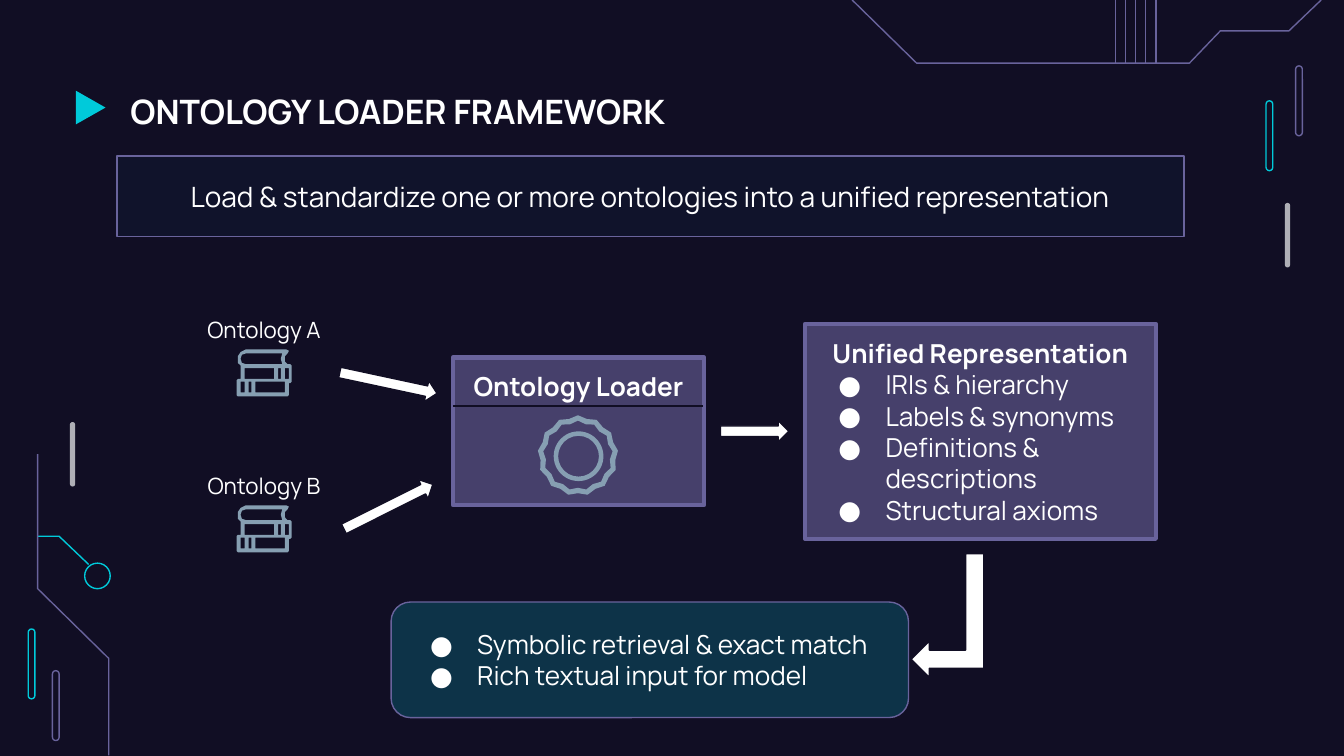
import math
from dataclasses import dataclass
from typing import NamedTuple, Optional

import lxml.etree
import pptx
import pptx.dml.color
import pptx.enum.shapes
import pptx.enum.text
import pptx.oxml.ns
import pptx.util
from pptx.util import Inches

SHAPE = pptx.enum.shapes.MSO_SHAPE
ALIGN = pptx.enum.text.PP_ALIGN
ANCHOR = pptx.enum.text.MSO_ANCHOR
qn = pptx.oxml.ns.qn


@dataclass(frozen=True)
class Theme:
    font: str = "Manrope"
    background: str = "110E24"
    text: str = "FFFFFF"
    cyan: str = "00CADA"
    violet: str = "69639C"
    panel: str = "46406B"
    navy: str = "0E2A47"
    gray: str = "AFAFB6"
    icon: str = "869FB2"
    title_size: float = 18
    banner_size: float = 15
    body_size: float = 14
    label_size: float = 12
    thin: float = 0.75
    thick: float = 2.25


class Box(NamedTuple):
    left: float
    top: float
    width: float
    height: float


class Capsule(NamedTuple):
    box: Box
    fill: Optional[str] = None
    line: Optional[str] = None


class Circuit(NamedTuple):
    points: list
    color: str


class Source(NamedTuple):
    name: str
    top: float


class Arrow(NamedTuple):
    kind: int
    box: Box
    rotation: float = 0
    mirrored: bool = False


THEME = Theme()

CAPSULES = [
    Capsule(Box(9.42, 0.75, 0.05, 0.52), line=THEME.cyan),
    Capsule(Box(9.64, 0.49, 0.05, 0.52), line=THEME.violet),
    Capsule(Box(0.21, 4.68, 0.05, 0.52), line=THEME.cyan),
    Capsule(Box(0.39, 4.99, 0.05, 0.52), line=THEME.violet),
    Capsule(Box(9.56, 1.51, 0.04, 0.48), fill=THEME.gray),
    Capsule(Box(0.52, 3.14, 0.04, 0.48), fill=THEME.gray),
]
CIRCUITS = [
    Circuit([(6.34, 0), (6.82, 0.47), (8.85, 0.47), (9.08, 0.23), (9.59, 0.23), (9.83, 0)], THEME.violet),
    Circuit([(0.66, 4.2), (0.44, 3.99), (0.28, 3.99)], THEME.cyan),
    Circuit([(0.28, 3.38), (0.28, 4.38), (0.81, 4.9), (0.81, 5.62)], THEME.violet),
]
SOURCES = [Source("Ontology A", 2.3), Source("Ontology B", 3.46)]
ARROWS = [
    Arrow(SHAPE.RIGHT_ARROW, Box(5.36, 3.13, 0.51, 0.16)),
    Arrow(SHAPE.RIGHT_ARROW, Box(2.52, 2.77, 0.74, 0.16), 12.1),
    Arrow(SHAPE.RIGHT_ARROW, Box(2.52, 3.69, 0.74, 0.16), 333.4),
    Arrow(SHAPE.BENT_UP_ARROW, Box(6.59, 4.31, 0.92, 0.54), 270, True),
]
BOOK_COVERS = [
    (0.07, 0), (0.37, 0), (0.39, 0.01), (0.38, 0.03), (0.36, 0.05), (0.36, 0.09), (0.38, 0.11),
    (0.40, 0.11), (0.41, 0.12), (0.41, 0.24), (0.40, 0.25), (0.39, 0.25), (0.39, 0.34), (0.38, 0.35),
    (0.01, 0.35), (0, 0.34), (0, 0.23), (0.01, 0.22), (0.03, 0.22), (0.03, 0.12), (0.01, 0.10),
    (0.01, 0.05), (0.03, 0.02),
]
BOOK_PAGES = [
    (0.34, 0.03), (0.07, 0.03), (0.04, 0.04), (0.03, 0.07), (0.04, 0.10), (0.07, 0.11), (0.34, 0.11), (0.33, 0.07),
]
BOOK_WINDOWS = [
    Box(left, top, width, 0.08)
    for top, columns in [
        (0.14, [(0.06, 0.22), (0.31, 0.02), (0.36, 0.03)]),
        (0.24, [(0.03, 0.03), (0.09, 0.02), (0.14, 0.22)]),
    ]
    for left, width in columns
]


def rgb(color: str):
    return pptx.dml.color.RGBColor.from_string(color)


def paint(shape, fill: Optional[str] = None, line: Optional[str] = None,
          weight: float = THEME.thin, opacity: int = 100) -> None:
    shape.shadow.inherit = False
    if fill:
        shape.fill.solid()
        shape.fill.fore_color.rgb = rgb(fill)
        if opacity < 100:
            color = shape.element.spPr.find(qn("a:solidFill")).find(qn("a:srgbClr"))
            lxml.etree.SubElement(color, qn("a:alpha")).set("val", str(opacity * 1000))
    else:
        shape.fill.background()
    if line:
        shape.line.color.rgb = rgb(line)
        shape.line.width = pptx.util.Pt(weight)
    else:
        shape.line.fill.background()


def add_preset(slide, kind: int, box: Box, **look):
    shape = slide.shapes.add_shape(kind, *map(Inches, box))
    paint(shape, **look)
    return shape


def add_outline(slide, contours: list, closed: bool = True, **look) -> None:
    """Draw contours given in inches as one freeform; inner contours become holes."""
    scaled = [[(Inches(x), Inches(y)) for x, y in contour] for contour in contours]
    builder = slide.shapes.build_freeform(*scaled[0][0], scale=1.0)
    for index, contour in enumerate(scaled):
        if index:
            builder.move_to(*contour[0])
        builder.add_line_segments(contour[1:], close=closed)
    paint(builder.convert_to_shape(), **look)


def add_line(slide, start: tuple, end: tuple, color: str) -> None:
    line = slide.shapes.add_connector(
        pptx.enum.shapes.MSO_CONNECTOR.STRAIGHT, *map(Inches, start + end))
    line.line.color.rgb = rgb(color)
    line.line.width = pptx.util.Pt(THEME.thin)
    lxml.etree.SubElement(line.element.spPr, qn("a:effectLst"))


def prepare_frame(shape, anchor):
    frame = shape.text_frame
    frame.word_wrap = True
    frame.auto_size = pptx.enum.text.MSO_AUTO_SIZE.NONE
    frame.vertical_anchor = anchor
    frame.margin_left = frame.margin_right = frame.margin_top = frame.margin_bottom = Inches(0.1)
    return frame


def write(frame, text: str, *, size: float = THEME.body_size, bold: bool = False,
          align=ALIGN.LEFT, bullet: bool = False):
    """Fill the frame's empty first paragraph, or append another one."""
    para = frame.paragraphs[0] if not frame.text else frame.add_paragraph()
    para.alignment = align
    if bullet:
        props = para._p.get_or_add_pPr()
        props.set("marL", str(Inches(0.5)))
        props.set("indent", str(Inches(-0.35)))
        color = lxml.etree.SubElement(props, qn("a:buClr"))
        lxml.etree.SubElement(color, qn("a:srgbClr")).set("val", THEME.text)
        lxml.etree.SubElement(props, qn("a:buFont")).set("typeface", THEME.font)
        lxml.etree.SubElement(props, qn("a:buChar")).set("char", "●")
    span = para.add_run()
    span.text = text
    span.font.name = THEME.font
    span.font.size = pptx.util.Pt(size)
    span.font.bold = bold
    span.font.color.rgb = rgb(THEME.text)
    return para


def add_books(slide, left: float, top: float) -> None:
    windows = [[(b.left, b.top), (b.left, b.top + b.height), (b.left + b.width, b.top + b.height),
                (b.left + b.width, b.top)] for b in BOOK_WINDOWS]
    contours = [[(left + x, top + y) for x, y in contour]
                for contour in [BOOK_COVERS, BOOK_PAGES, *windows]]
    add_outline(slide, contours, fill=THEME.icon)


def add_gear(slide, x: float, y: float, teeth: int = 13) -> None:
    def wave(tip: float, valley: float) -> list:
        return [(x + radius * math.sin(turn), y - radius * math.cos(turn))
                for step in range(2 * teeth)
                for turn, radius in [(math.pi * step / teeth, valley if step % 2 else tip)]]

    add_outline(slide, [wave(0.3, 0.28), wave(0.26, 0.24)[::-1]], fill=THEME.icon)
    ring = add_preset(slide, SHAPE.DONUT, Box(x - 0.18, y - 0.18, 0.37, 0.37), fill=THEME.icon)
    ring.adjustments[0] = 0.09


def add_decoration(slide) -> None:
    for capsule in CAPSULES:
        shape = add_preset(slide, SHAPE.ROUNDED_RECTANGLE, capsule.box, fill=capsule.fill, line=capsule.line)
        shape.adjustments[0] = 0.5
    for index in range(5):
        x = 8.3 + 0.3 * index / 4
        add_line(slide, (x, 0.47), (x, 0), THEME.violet)
    for circuit in CIRCUITS:
        add_outline(slide, [circuit.points], closed=False, line=circuit.color)
    add_preset(slide, SHAPE.OVAL, Box(0.63, 4.19, 0.19, 0.19), line=THEME.cyan)
    marker = add_preset(slide, SHAPE.FLOWCHART_MERGE, Box(0.55, 0.69, 0.25, 0.22), fill=THEME.cyan)
    marker.rotation = 270


def add_heading(slide) -> None:
    title = slide.shapes.title
    title.left, title.top, title.width, title.height = map(Inches, (0.87, 0.53, 6.09, 0.65))
    para = write(prepare_frame(title, ANCHOR.TOP), "ONTOLOGY LOADER FRAMEWORK", size=THEME.title_size, bold=True)
    para.line_spacing = 1.15
    banner = add_preset(slide, SHAPE.RECTANGLE, Box(0.87, 1.16, 7.94, 0.6),
                        fill=THEME.navy, line=THEME.violet, opacity=20)
    write(prepare_frame(banner, ANCHOR.MIDDLE),
          "Load & standardize one or more ontologies into a unified representation",
          size=THEME.banner_size, align=ALIGN.CENTER)


def add_panel(slide, box: Box, heading: str, items: tuple = ()) -> None:
    panel = add_preset(slide, SHAPE.RECTANGLE, box, fill=THEME.panel, line=THEME.violet, weight=THEME.thick)
    frame = prepare_frame(panel, ANCHOR.TOP)
    write(frame, heading, bold=True, align=ALIGN.CENTER)
    for item in items:
        write(frame, item, bullet=True)


def add_flow(slide) -> None:
    for source in SOURCES:
        label = slide.shapes.add_textbox(*map(Inches, (1.4, source.top, 1.13, 0.3)))
        write(prepare_frame(label, ANCHOR.MIDDLE), source.name, size=THEME.label_size, align=ALIGN.CENTER)
        add_books(slide, 1.76, source.top + 0.3)
    add_panel(slide, Box(3.37, 2.66, 1.87, 1.1), "Ontology Loader")
    add_line(slide, (3.37, 3.02), (5.23, 3.02), THEME.background)
    add_gear(slide, 4.3, 3.39)
    add_panel(slide, Box(5.99, 2.41, 2.61, 1.6), "Unified Representation",
              ("IRIs & hierarchy", "Labels & synonyms", "Definitions & descriptions", "Structural axioms"))
    for arrow in ARROWS:
        shape = add_preset(slide, arrow.kind, arrow.box, fill=THEME.text, line=THEME.background)
        shape.rotation = arrow.rotation
        if arrow.mirrored:
            shape.element.spPr.find(qn("a:xfrm")).set("flipH", "1")
    outcome = add_preset(slide, SHAPE.ROUNDED_RECTANGLE, Box(2.91, 4.48, 3.85, 0.86),
                         fill=THEME.cyan, line=THEME.violet, opacity=20)
    frame = prepare_frame(outcome, ANCHOR.MIDDLE)
    for item in ("Symbolic retrieval & exact match", "Rich textual input for model"):
        write(frame, item, bullet=True)


def main() -> None:
    deck = pptx.Presentation()
    deck.slide_width = Inches(10)
    deck.slide_height = deck.slide_width * 9 // 16
    page = deck.slides.add_slide(deck.slide_layouts.get_by_name("Title Only"))
    page.background.fill.solid()
    page.background.fill.fore_color.rgb = rgb(THEME.background)
    add_decoration(page)
    add_heading(page)
    add_flow(page)
    deck.save("out.pptx")


if __name__ == "__main__":
    main()
